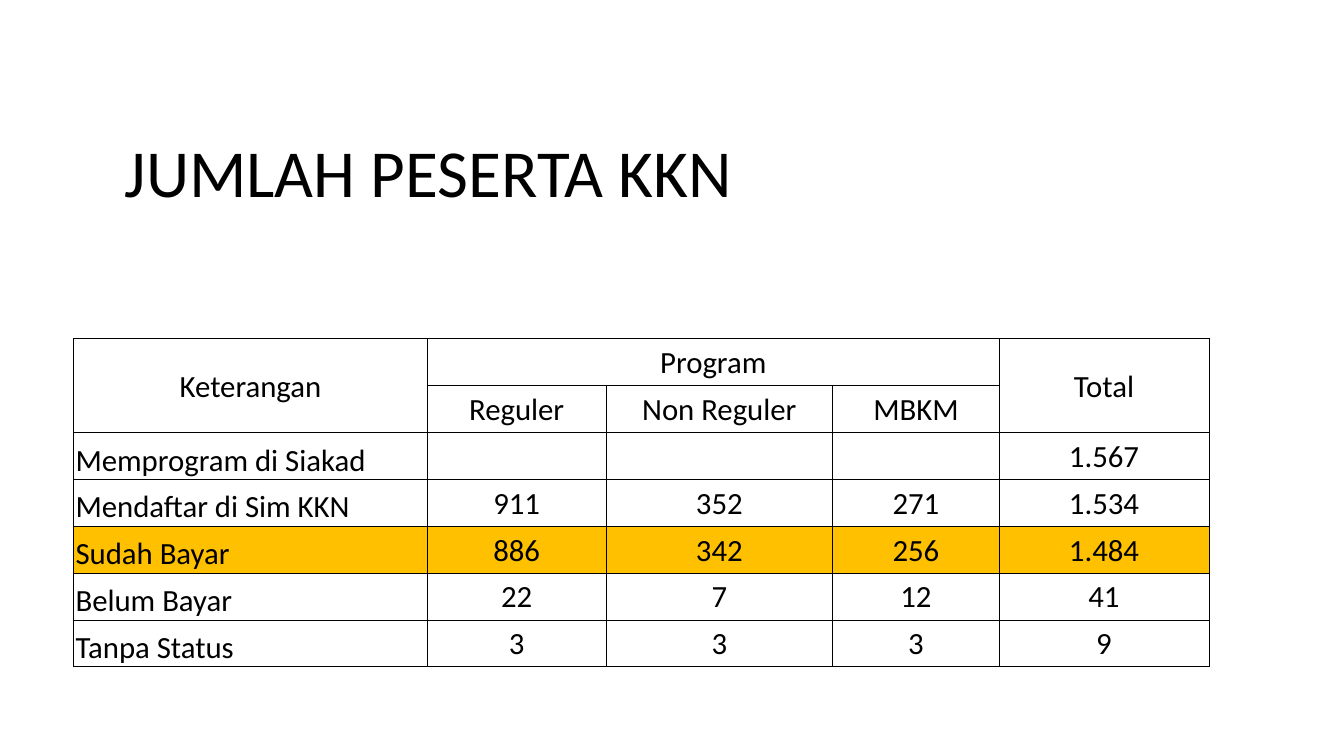
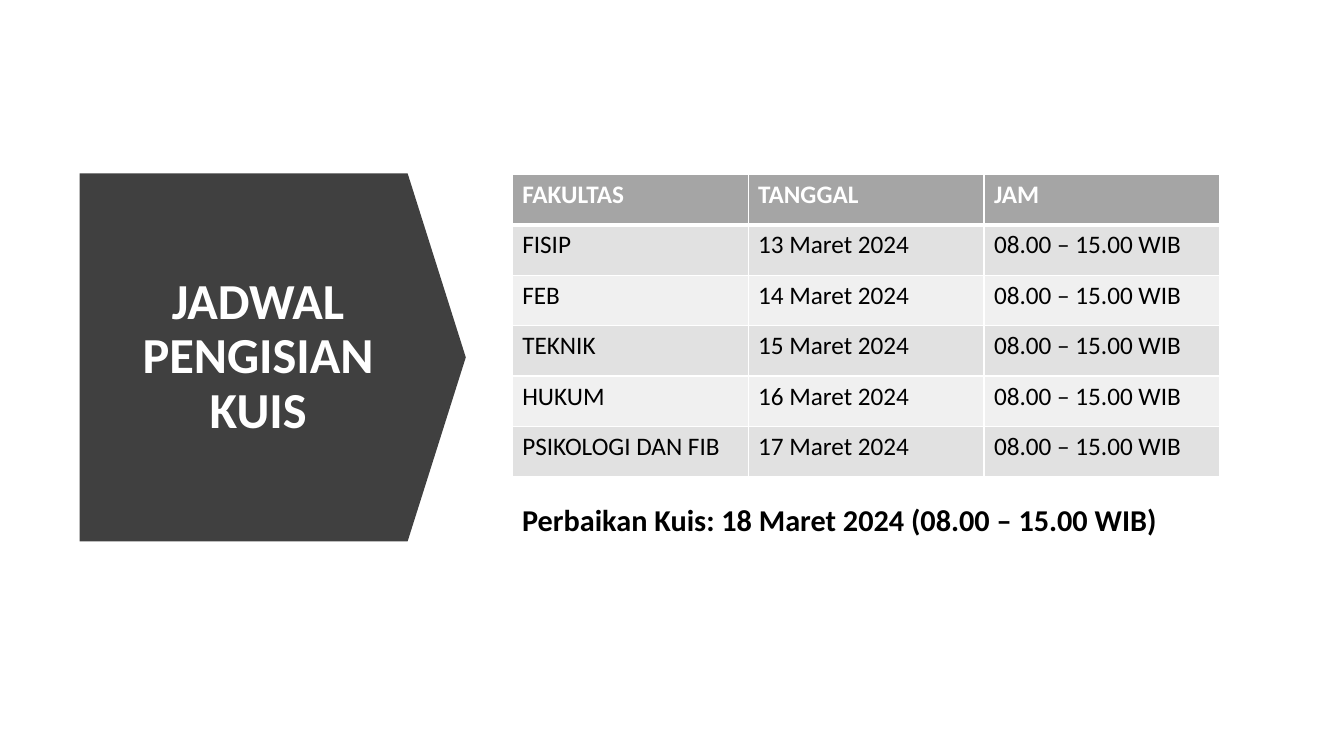
from lxml import etree
from pptx import Presentation
from pptx.dml.color import RGBColor
from pptx.enum.shapes import MSO_SHAPE
from pptx.enum.text import MSO_ANCHOR, PP_ALIGN
from pptx.oxml.ns import qn
from pptx.util import Inches, Pt

FONT = "Calibri"
BLACK = RGBColor(0x00, 0x00, 0x00)
WHITE = RGBColor(0xFF, 0xFF, 0xFF)
DARK = RGBColor(0x40, 0x40, 0x40)
GOLD = RGBColor(0xFF, 0xC0, 0x00)
HEADER = RGBColor(0xA5, 0xA5, 0xA5)
BANDS = (RGBColor(0xE1, 0xE1, 0xE1), RGBColor(0xF0, 0xF0, 0xF0))

PARTICIPANTS = [
    ("Keterangan", "Program", "", "", "Total"),
    ("", "Reguler", "Non Reguler", "MBKM", ""),
    ("Memprogram di Siakad", "", "", "", "1.567"),
    ("Mendaftar di Sim KKN", "911", "352", "271", "1.534"),
    ("Sudah Bayar", "886", "342", "256", "1.484"),
    ("Belum Bayar", "22", "7", "12", "41"),
    ("Tanpa Status", "3", "3", "3", "9"),
]
HEADER_ROWS = 2
PAID_ROW = 4
MERGES = [((0, 0), (1, 0)), ((0, 1), (0, 3)), ((0, 4), (1, 4))]

HOURS = "08.00 – 15.00 WIB"
FACULTIES = ["FISIP", "FEB", "TEKNIK", "HUKUM", "PSIKOLOGI DAN FIB"]
FIRST_DAY = 13
SCHEDULE = [("FAKULTAS", "TANGGAL", "JAM")] + [
    (faculty, f"{day} Maret 2024", HOURS)
    for day, faculty in enumerate(FACULTIES, FIRST_DAY)
]


def write(tf, text, size, color=BLACK, bold=False, align=PP_ALIGN.LEFT, spacing=None):
    p = tf.paragraphs[0]
    p.alignment = align
    if spacing:
        p.line_spacing = spacing
    r = p.add_run()
    r.text = text
    r.font.name, r.font.size, r.font.bold = FONT, Pt(size), bold
    r.font.color.rgb = color


def add_text(s, box, text, size, spacing=0.9, **style):
    tf = s.shapes.add_textbox(*map(Inches, box)).text_frame
    tf.word_wrap = True
    tf.vertical_anchor = MSO_ANCHOR.MIDDLE
    write(tf, text, size, spacing=spacing, **style)


def set_borders(cell, color, widths):
    """Draw the left, right, top and bottom edges, widths in points."""
    tc_pr = cell._tc.get_or_add_tcPr()
    for i, (side, width) in enumerate(zip("LRTB", widths)):
        ln = etree.Element(qn(f"a:ln{side}"), w=str(Pt(width)))
        fill = etree.SubElement(ln, qn("a:solidFill"))
        etree.SubElement(fill, qn("a:srgbClr"), val=str(color))
        tc_pr.insert(i, ln)


def add_grid(s, left, top, col_widths, row_height, rows):
    """Add a table without style effects, filled with nothing yet."""
    table = s.shapes.add_table(
        len(rows), len(col_widths), Inches(left), Inches(top),
        Inches(sum(col_widths)), Inches(row_height * len(rows))).table
    table.first_row = table.horz_banding = False
    for column, width in zip(table.columns, col_widths):
        column.width = Inches(width)
    for row in table.rows:
        row.height = Inches(row_height)
    return table


def fill_cell(cell, color):
    if color is None:
        cell.fill.background()
    else:
        cell.fill.solid()
        cell.fill.fore_color.rgb = color


def participants_slide(s):
    add_text(s, (1.14, 0.89, 11.13, 1.7), "JUMLAH PESERTA KKN", 48)
    table = add_grid(s, 0.73, 3.36, (3.51, 1.77, 2.25, 1.65, 2.08), 0.465, PARTICIPANTS)
    for first, last in MERGES:
        table.cell(*first).merge(table.cell(*last))
    for i, row in enumerate(PARTICIPANTS):
        for j, text in enumerate(row):
            cell = table.cell(i, j)
            is_label = j == 0 and i >= HEADER_ROWS
            cell.margin_left = cell.margin_right = cell.margin_top = Inches(0.02)
            cell.margin_bottom = 0
            cell.vertical_anchor = MSO_ANCHOR.BOTTOM if is_label else MSO_ANCHOR.MIDDLE
            fill_cell(cell, GOLD if i == PAID_ROW else None)
            set_borders(cell, BLACK, [0.5] * 4)
            if text:
                write(cell.text_frame, text, 22,
                      align=PP_ALIGN.LEFT if is_label else PP_ALIGN.CENTER)


def schedule_slide(s):
    arrow = s.shapes.add_shape(
        MSO_SHAPE.PENTAGON, *map(Inches, (0.79, 1.72, 3.83, 3.65)))
    arrow.adjustments[0] = 0.158
    arrow.shadow.inherit = False
    arrow.fill.solid()
    arrow.fill.fore_color.rgb = DARK
    arrow.line.fill.background()
    add_text(s, (1.12, 2.15, 2.88, 2.79), "JADWAL PENGISIAN KUIS", 36,
             color=WHITE, bold=True, align=PP_ALIGN.CENTER)

    left, width = 5.08, 7.02
    table = add_grid(s, left, 1.73, [width / 3] * 3, 0.5, SCHEDULE)
    for i, row in enumerate(SCHEDULE):
        is_header = i == 0
        for j, text in enumerate(row):
            cell = table.cell(i, j)
            fill_cell(cell, HEADER if is_header else BANDS[(i - 1) % 2])
            set_borders(cell, WHITE, (1, 1, 3 if i == 1 else 1, 3 if is_header else 1))
            write(cell.text_frame, text, 18, WHITE if is_header else BLACK, is_header)
    add_text(s, (left, 4.94, width, 0.51), f"Perbaikan Kuis: 18 Maret 2024 ({HOURS})",
             21.6, spacing=0.7, bold=True)


def main():
    prs = Presentation()
    prs.slide_width, prs.slide_height = Inches(13.33), Inches(7.5)
    for build in (participants_slide, schedule_slide):
        build(prs.slides.add_slide(prs.slide_layouts[6]))
    prs.save("out.pptx")


if __name__ == "__main__":
    main()
